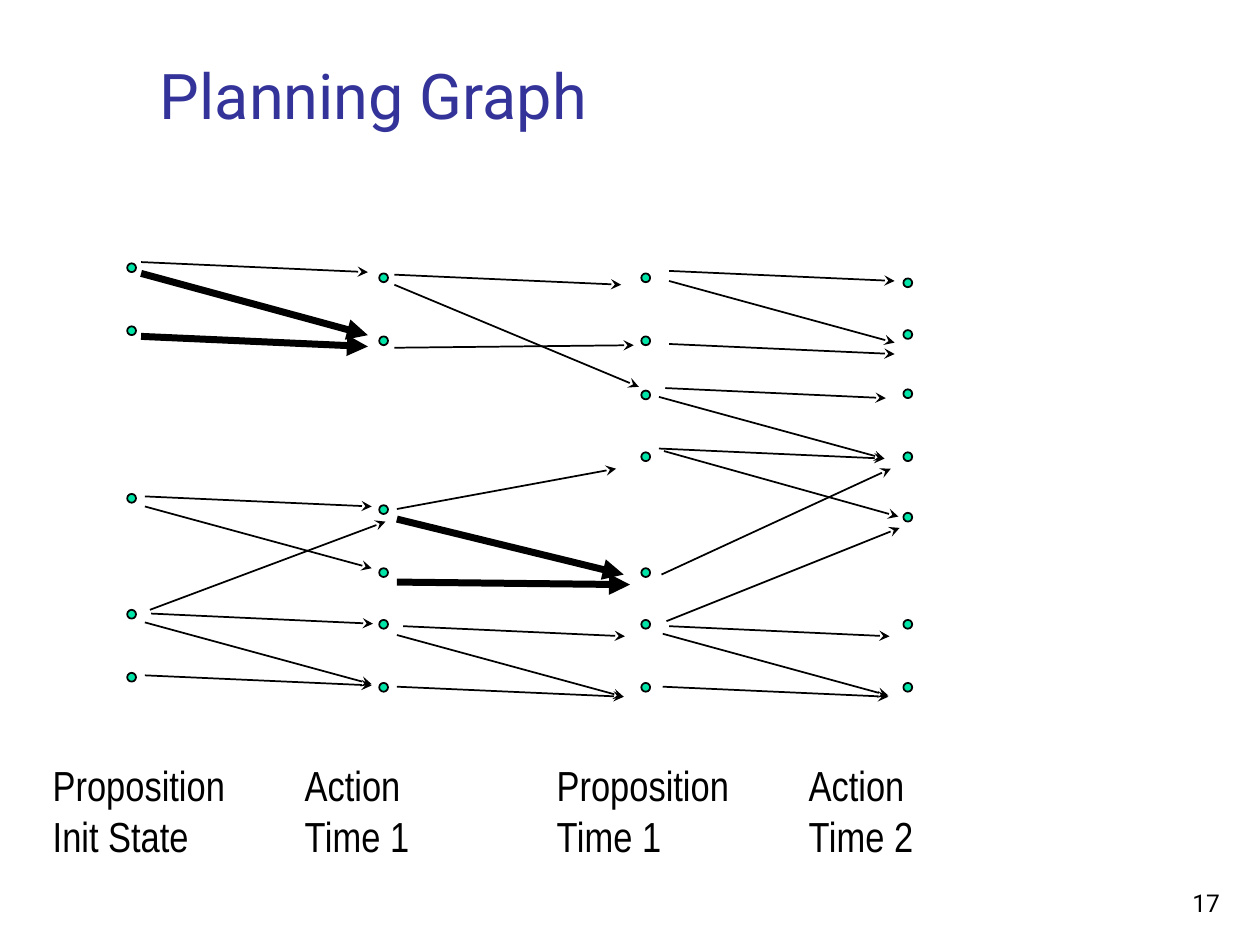
from dataclasses import dataclass

from lxml.etree import SubElement
from pptx import Presentation
from pptx.dml.color import RGBColor
from pptx.enum.shapes import MSO_CONNECTOR, MSO_SHAPE
from pptx.enum.text import MSO_ANCHOR, PP_ALIGN
from pptx.oxml.ns import qn
from pptx.util import Inches, Pt


@dataclass(frozen=True)
class Theme:
    title_color: RGBColor = RGBColor(0x33, 0x33, 0x99)
    ink: RGBColor = RGBColor(0, 0, 0)
    node_fill: RGBColor = RGBColor(0x00, 0xE4, 0xA8)
    main_font: str = "Roboto"
    label_font: str = "Arial Narrow"
    title_size: int = 36
    label_size: int = 24
    number_size: int = 14
    thin: int = 1
    thick: int = 4


THEME = Theme()
NODE_SIZE = 0.07

# Left edge of a run of nodes, then the top edge of each node
NODES = [
    (1.01, [2.09, 2.59, 3.92, 4.84, 5.34]),
    (3.01, [2.17, 2.67, 4.01, 4.51, 4.92, 5.42]),
    (5.09, [2.17, 2.67, 3.1, 3.59, 4.51, 4.92, 5.42]),
    (7.17, [2.21, 2.62, 3.09, 3.59, 4.07, 4.92, 5.42]),
]

# Start x, start y, end x, end y
INIT_TO_ACTION_1 = [
    (1.12, 2.08, 2.92, 2.16),
    (1.15, 3.94, 2.95, 4.02),
    (1.15, 4.02, 2.95, 4.51),
    (1.19, 4.84, 3.06, 4.14),
    (1.2, 4.87, 2.96, 4.95),
    (1.15, 4.94, 2.95, 5.43),
    (1.15, 5.36, 2.95, 5.44),
]
ACTION_1_TO_PROPOSITION_1 = [
    (3.13, 2.18, 4.93, 2.26),
    (3.13, 2.26, 5.07, 3.07),
    (3.13, 2.76, 5.03, 2.74),
    (3.15, 4.04, 4.89, 3.72),
    (3.2, 4.97, 4.96, 5.05),
    (3.15, 5.04, 4.95, 5.53),
    (3.15, 5.45, 4.95, 5.53),
]
PROPOSITION_1_TO_ACTION_2 = [
    (5.31, 2.15, 7.1, 2.23),
    (5.31, 2.23, 7.1, 2.72),
    (5.31, 2.73, 7.1, 2.81),
    (5.28, 3.08, 7.03, 3.16),
    (5.23, 3.15, 7.02, 3.64),
    (5.23, 3.56, 7.02, 3.64),
    (5.27, 3.58, 7.13, 4.1),
    (5.25, 4.56, 7.07, 3.72),
    (5.29, 4.93, 7.14, 4.19),
    (5.31, 4.97, 7.06, 5.05),
    (5.26, 5.03, 7.05, 5.52),
    (5.26, 5.45, 7.05, 5.53),
]
THIN_ARROWS = INIT_TO_ACTION_1 + ACTION_1_TO_PROPOSITION_1 + PROPOSITION_1_TO_ACTION_2
THICK_ARROWS = [
    (1.12, 2.17, 2.92, 2.66),
    (1.12, 2.67, 2.92, 2.75),
    (3.15, 4.12, 4.95, 4.56),
    (3.15, 4.62, 5, 4.64),
]

LABELS = [
    (["Proposition", "Init State"], 1.57),
    (["Action", "Time 1"], 1.04),
    (["Proposition", "Time 1"], 1.57),
    (["Action", "Time 2"], 1.04),
]


def add_text(page, lines, area, font_name, size, color,
             anchor=MSO_ANCHOR.TOP, align=PP_ALIGN.LEFT, wrap=True):
    box = page.shapes.add_textbox(*(Inches(length) for length in area))
    frame = box.text_frame
    frame.word_wrap = wrap
    frame.vertical_anchor = anchor
    frame.text = "\n".join(lines)
    for para in frame.paragraphs:
        para.alignment = align
        para.font.name = font_name
        para.font.size = Pt(size)
        para.font.color.rgb = color


def add_node(page, left, top):
    node = page.shapes.add_shape(
        MSO_SHAPE.OVAL, Inches(left), Inches(top), Inches(NODE_SIZE), Inches(NODE_SIZE))
    node.shadow.inherit = False
    node.fill.solid()
    node.fill.fore_color.rgb = THEME.node_fill
    node.line.color.rgb = THEME.ink
    node.line.width = Pt(THEME.thin)


def add_arrow(page, ends, width, head):
    arrow = page.shapes.add_connector(
        MSO_CONNECTOR.STRAIGHT, *(Inches(length) for length in ends))
    arrow.line.color.rgb = THEME.ink
    arrow.line.width = Pt(width)
    SubElement(arrow.line._get_or_add_ln(), qn("a:tailEnd"), type=head)
    SubElement(arrow._element.spPr, qn("a:effectLst"))


def main():
    deck = Presentation()
    deck.slide_width, deck.slide_height = Inches(10), Inches(7.5)
    page = deck.slides.add_slide(deck.slide_layouts[6])

    add_text(page, ["Planning Graph"], (1.17, 0.5, 8.52, 0.5), THEME.main_font,
             THEME.title_size, THEME.title_color, anchor=MSO_ANCHOR.MIDDLE)
    for left, tops in NODES:
        for top in tops:
            add_node(page, left, top)
    for column, (lines, width) in enumerate(LABELS):
        add_text(page, lines, (0.32 + 2 * column, 5.98, width, 0.9), THEME.label_font,
                 THEME.label_size, THEME.ink, wrap=False)
    for ends in THIN_ARROWS:
        add_arrow(page, ends, THEME.thin, "stealth")
    for ends in THICK_ARROWS:
        add_arrow(page, ends, THEME.thick, "triangle")
    add_text(page, ["17"], (7.7, 6.83, 2.08, 0.5), THEME.main_font, THEME.number_size,
             THEME.ink, anchor=MSO_ANCHOR.BOTTOM, align=PP_ALIGN.RIGHT)

    deck.save("out.pptx")


if __name__ == "__main__":
    main()
